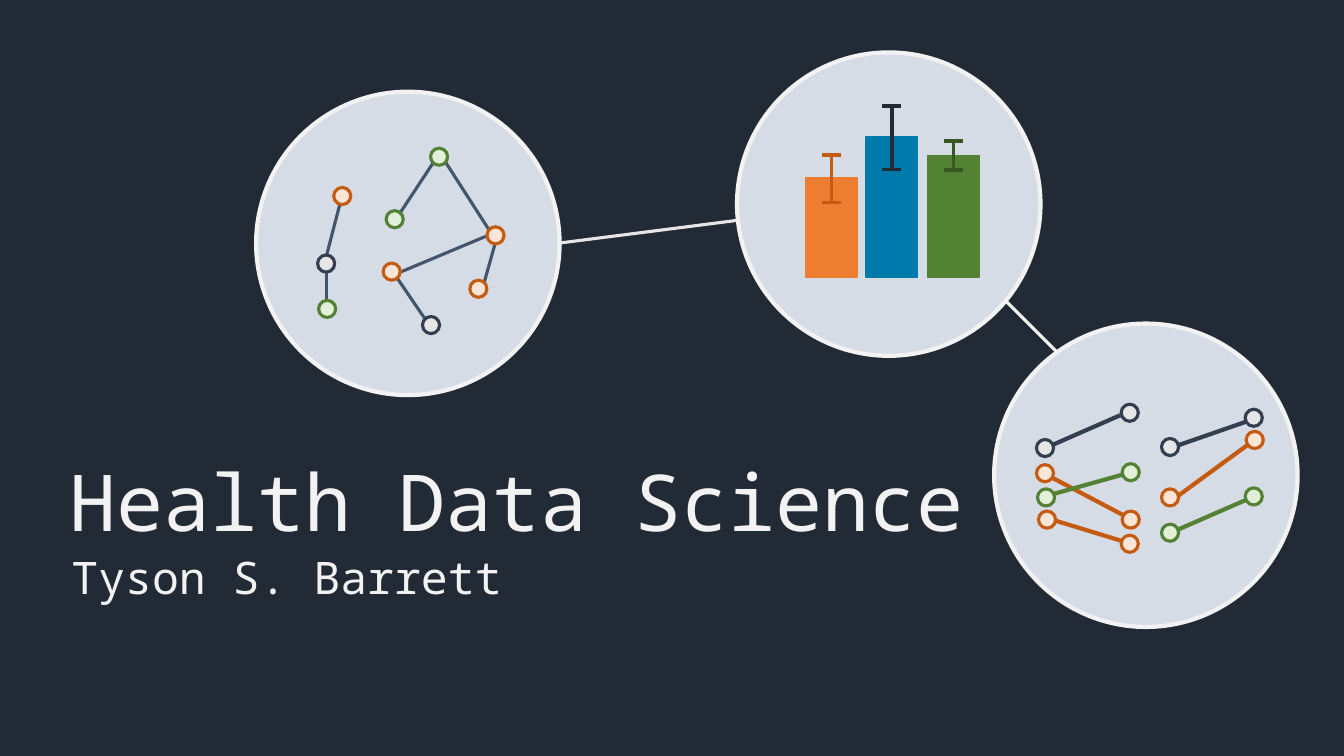
from dataclasses import dataclass

from lxml import etree
from pptx import Presentation
from pptx.dml.color import RGBColor
from pptx.enum.shapes import MSO_CONNECTOR, MSO_SHAPE
from pptx.enum.text import MSO_AUTO_SIZE
from pptx.oxml.ns import qn
from pptx.util import Inches, Pt

STRAIGHT = MSO_CONNECTOR.STRAIGHT
OVAL = MSO_SHAPE.OVAL
RECTANGLE = MSO_SHAPE.RECTANGLE
GROW = MSO_AUTO_SIZE.SHAPE_TO_FIT_TEXT


@dataclass(frozen=True)
class Theme:
    """Colours, font, type sizes and line widths."""
    night: str = "222A35"
    disc: str = "D6DCE5"
    white: str = "F2F2F2"
    grey: str = "E7E6E6"
    slate: str = "44546A"
    navy: str = "333F50"
    blue: str = "007AAA"
    orange: str = "ED7D31"
    rust: str = "C55A11"
    peach: str = "FBE5D6"
    green: str = "548235"
    forest: str = "385723"
    mint: str = "E2F0D9"
    font: str = "Noto Sans Mono"
    title_size: float = 56
    author_size: float = 32
    thin: float = 2.25
    error: float = 2.5
    thick: float = 3


THEME = Theme()
DISC_SIZE = 3.01
DOT_SIZE = 0.17
BAR_WIDTH = 0.51
BAR_BASE = 2.75
CAP_HALF = 0.095

# Dot styles: fill and outline
NAVY_DOT = (THEME.grey, THEME.navy)
RUST_DOT = (THEME.peach, THEME.rust)
GREEN_DOT = (THEME.mint, THEME.green)

# Bars: left, top, fill, error colour, error top, error bottom
BARS = [
    (8.59, 1.36, THEME.blue, THEME.night, 1.05, 1.68),
    (7.99, 1.76, THEME.orange, THEME.rust, 1.54, 2.01),
    (9.2, 1.54, THEME.green, THEME.forest, 1.4, 1.685),
]

# Edges: start x, start y, end x, end y
NETWORK_EDGES = [
    (4.3, 1.61, 3.97, 2.11), (4.42, 1.61, 4.85, 2.28),
    (3.97, 2.7, 4.83, 2.34), (4.8, 2.81, 4.91, 2.42),
    (3.24, 2.53, 3.37, 2.03), (4.22, 3.17, 3.94, 2.76),
    (3.24, 2.98, 3.24, 2.7),
]
# Dots: style and the left, top places that use it
NETWORK_DOTS = [
    (RUST_DOT, [(3.8, 2.61), (3.31, 1.86), (4.66, 2.78), (4.83, 2.25)]),
    (GREEN_DOT, [(3.83, 2.09), (4.27, 1.47), (3.16, 2.98)]),
    (NAVY_DOT, [(3.15, 2.53), (4.19, 3.14)]),
]

# Slopes: colour and the edges that use it, in stacking order
SLOPE_EDGES = [
    (THEME.navy, [(10.38, 4.44, 11.11, 4.12), (11.65, 4.43, 12.37, 4.18)]),
    (THEME.rust, [(10.38, 4.71, 11.14, 5.11), (10.45, 5.16, 11.17, 5.38),
                  (11.67, 4.93, 12.38, 4.41)]),
    (THEME.green, [(11.67, 5.26, 12.38, 4.95), (10.38, 4.92, 11.13, 4.71)]),
]
SLOPE_DOTS = [
    (NAVY_DOT, [(11.12, 4.01), (10.28, 4.36), (12.35, 4.06), (11.52, 4.35)]),
    (RUST_DOT, [(10.28, 4.61), (11.13, 5.07), (10.3, 5.07), (11.12, 5.31),
                (11.52, 4.85), (12.36, 4.28)]),
    (GREEN_DOT, [(11.13, 4.6), (10.29, 4.85), (11.52, 5.2), (12.35, 4.84)]),
]


def rgb(colour):
    """Turn a hex string into a colour."""
    return RGBColor.from_string(colour)


def add_line(shapes, ends, colour, width):
    """Draw a straight line between two points, without a shadow."""
    line = shapes.add_connector(STRAIGHT, *[Inches(value) for value in ends])
    line.line.color.rgb = rgb(colour)
    line.line.width = Pt(width)
    etree.SubElement(line._element.spPr, qn("a:effectLst"))


def add_figure(shapes, preset, place, fill, outline, width):
    """Draw a filled preset shape at left, top, width, height."""
    figure = shapes.add_shape(preset, *[Inches(value) for value in place])
    figure.shadow.inherit = False
    figure.fill.solid()
    figure.fill.fore_color.rgb = rgb(fill)
    figure.line.color.rgb = rgb(outline)
    figure.line.width = Pt(width)


def add_disc(shapes, left, top):
    """Draw one of the large discs that hold a sketch."""
    add_figure(shapes, OVAL, (left, top, DISC_SIZE, DISC_SIZE),
               THEME.disc, THEME.white, THEME.thick)


def add_dots(shapes, dots):
    """Draw the small data points of a sketch."""
    for (fill, outline), places in dots:
        for left, top in places:
            add_figure(shapes, OVAL, (left, top, DOT_SIZE, DOT_SIZE),
                       fill, outline, THEME.thin)


def add_error_bar(shapes, centre, top, bottom, colour):
    """Draw a vertical error bar with a cap at each end."""
    add_line(shapes, (centre, top, centre, bottom), colour, THEME.error)
    for level in (top, bottom):
        cap = (centre - CAP_HALF, level, centre + CAP_HALF, level)
        add_line(shapes, cap, colour, THEME.error)


def add_bar_sketch(shapes):
    """Draw the disc with three bars and their error bars."""
    add_disc(shapes, 7.31, 0.52)
    for left, top, fill, error_colour, error_top, error_bottom in BARS:
        add_figure(shapes, RECTANGLE, (left, top, BAR_WIDTH, BAR_BASE - top),
                   fill, fill, 1)
        add_error_bar(shapes, left + BAR_WIDTH / 2, error_top, error_bottom,
                      error_colour)


def add_dot_sketch(page, left, top, edge_sets, width, dots):
    """Draw a grouped disc with coloured edges and dots."""
    shapes = page.shapes.add_group_shape().shapes
    add_disc(shapes, left, top)
    for colour, edges in edge_sets:
        for ends in edges:
            add_line(shapes, ends, colour, width)
    add_dots(shapes, dots)


def add_text(page, place, text, size):
    """Add one line of text in a box that fits it."""
    box = page.shapes.add_textbox(*[Inches(value) for value in place])
    box.text_frame.word_wrap = False
    box.text_frame.auto_size = GROW
    para = box.text_frame.paragraphs[0]
    span = para.add_run()
    span.text = text
    span.font.name = THEME.font
    span.font.size = Pt(size)
    span.font.color.rgb = rgb(THEME.white)


def main():
    """Build the title slide and save it."""
    deck = Presentation()
    deck.slide_width, deck.slide_height = Inches(13.33), Inches(7.5)
    page = deck.slides.add_slide(deck.slide_layouts[6])
    page.background.fill.solid()
    page.background.fill.fore_color.rgb = rgb(THEME.night)

    add_line(page.shapes, (5.56, 2.41, 7.36, 2.18), THEME.grey, THEME.thin)
    add_line(page.shapes, (9.97, 2.98, 10.49, 3.5), THEME.white, THEME.thin)
    add_bar_sketch(page.shapes)
    add_dot_sketch(page, 2.54, 0.91, [(THEME.slate, NETWORK_EDGES)],
                   THEME.thin, NETWORK_DOTS)
    add_dot_sketch(page, 9.86, 3.21, SLOPE_EDGES, THEME.thick, SLOPE_DOTS)
    add_text(page, (0.59, 4.45, 9.16, 1.04), "Health Data Science",
             THEME.title_size)
    add_text(page, (0.61, 5.4, 4.52, 0.64), "Tyson S. Barrett",
             THEME.author_size)
    deck.save("out.pptx")


main()
